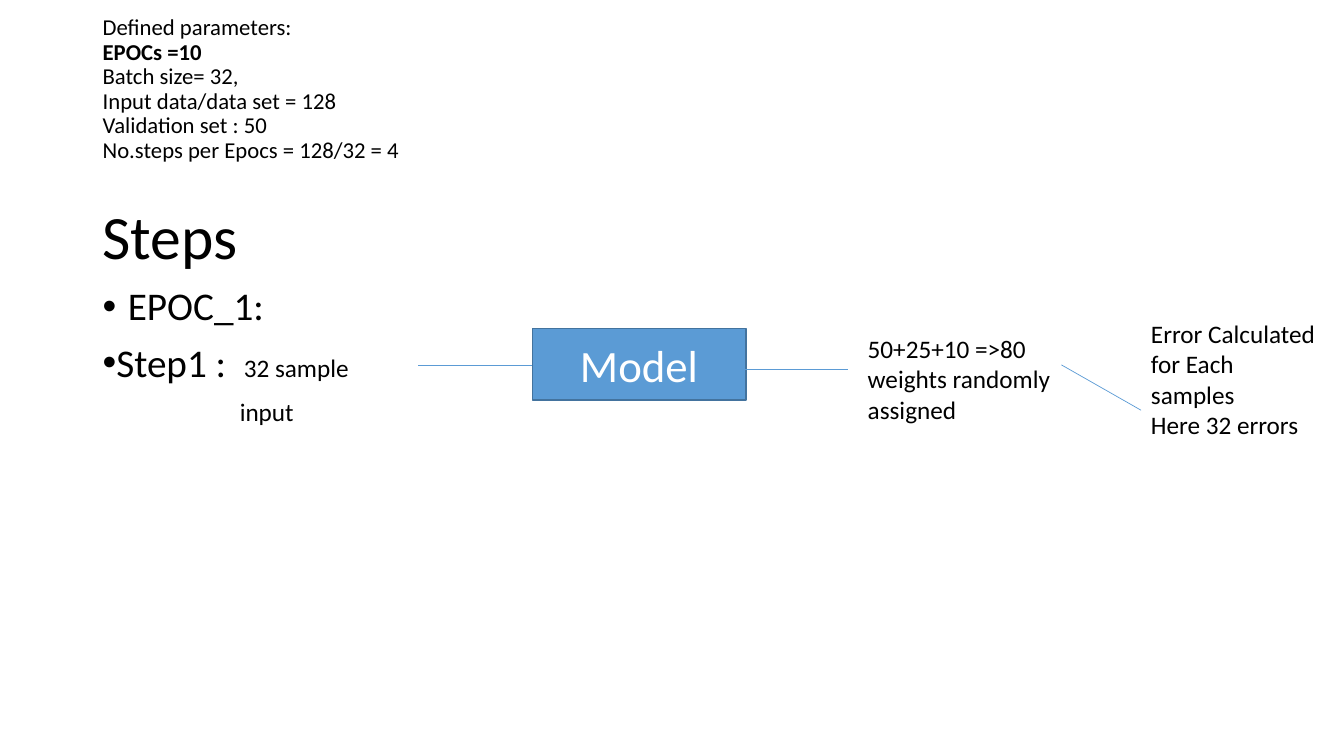
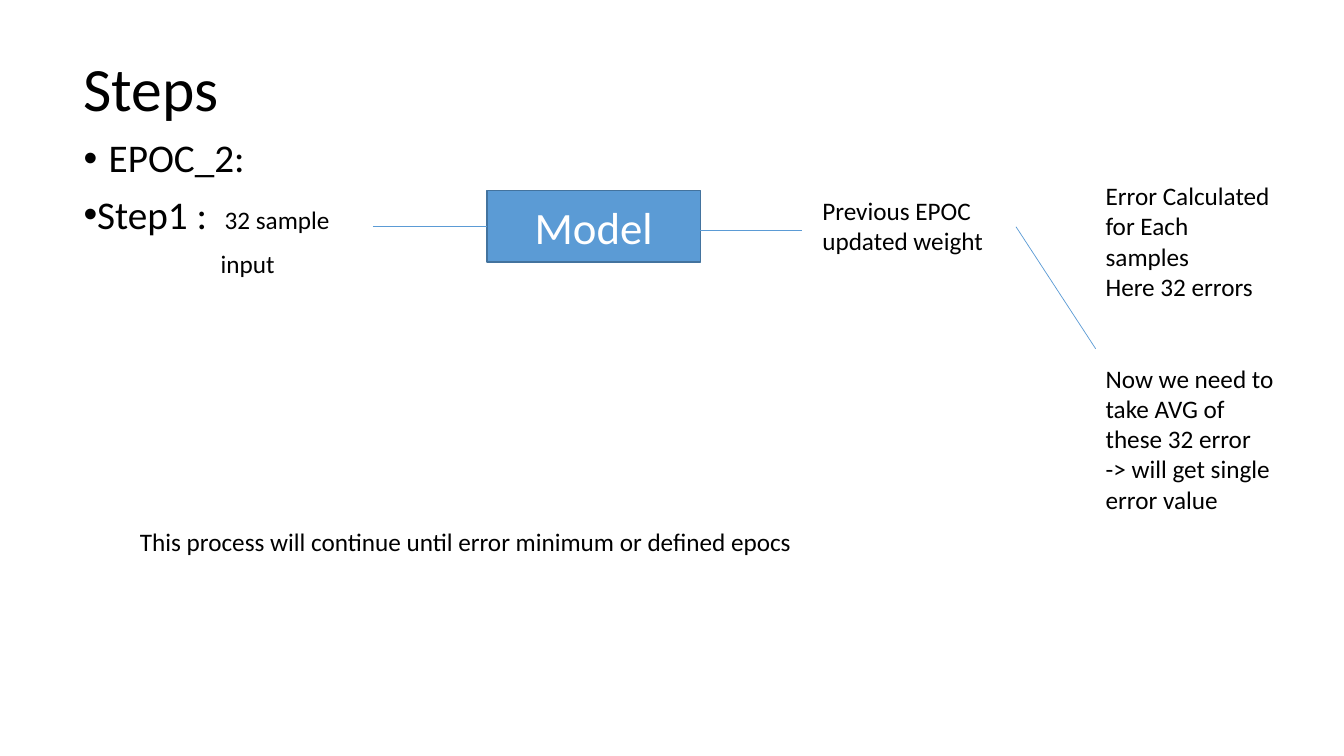
from lxml import etree
from pptx import Presentation
from pptx.dml.color import RGBColor
from pptx.enum.shapes import MSO_CONNECTOR, MSO_SHAPE
from pptx.enum.text import MSO_ANCHOR, PP_ALIGN
from pptx.oxml.ns import qn
from pptx.util import Inches, Pt

RECTANGLE = MSO_SHAPE.RECTANGLE
STRAIGHT = MSO_CONNECTOR.STRAIGHT
MIDDLE = MSO_ANCHOR.MIDDLE
CENTER = PP_ALIGN.CENTER

BLACK = RGBColor(0x00, 0x00, 0x00)
WHITE = RGBColor(0xFF, 0xFF, 0xFF)
BLUE = RGBColor(0x5B, 0x9B, 0xD5)
DARK_BLUE = RGBColor(0x43, 0x73, 0x9E)
FONT = "Calibri"

# Grid of 40 columns by 30 rows
SLIDE_WIDTH, SLIDE_HEIGHT = Inches(13.33), Inches(7.5)
COLUMN, ROW = SLIDE_WIDTH / 40, SLIDE_HEIGHT / 30
BLANK_LAYOUT = 6

BULLET_INDENT = Inches(0.25)
SAMPLE_TAB = Inches(1.4)
INPUT_INDENT = Inches(1.36)


def place(left, top):
    return round(left * COLUMN), round(top * ROW)


def style(para, size, color=BLACK, bold=False):
    font = para.font
    font.name, font.size, font.bold = FONT, Pt(size), bold
    font.color.rgb = color


def add_para(frame, text, size, bold=False):
    """Fill the empty first paragraph, or append a new one."""
    para = frame.paragraphs[0]
    if para.runs:
        para = frame.add_paragraph()
    para.add_run().text = text
    style(para, size, bold=bold)
    return para


def add_frame(page, left, top, width, height):
    box = page.shapes.add_textbox(*place(left, top), *place(width, height))
    box.text_frame.word_wrap = True
    return box.text_frame


def add_text(page, area, lines, size=18):
    frame = add_frame(page, *area)
    return [add_para(frame, line, size) for line in lines]


def add_line(page, start, end):
    line = page.shapes.add_connector(STRAIGHT, *place(*start), *place(*end))
    line.line.color.rgb = BLUE
    line.line.width = Pt(0.5)
    etree.SubElement(line._element.spPr, qn("a:effectLst"))


def set_indent(para, margin, first_line=0, bullet=False, tab=None):
    properties = para._p.get_or_add_pPr()
    properties.set("marL", str(margin))
    properties.set("indent", str(first_line))
    if bullet:
        etree.SubElement(properties, qn("a:buFont"), typeface="Arial")
        etree.SubElement(properties, qn("a:buChar"), char="\u2022")
    if tab:
        stops = etree.SubElement(properties, qn("a:tabLst"))
        etree.SubElement(stops, qn("a:tab"), pos=str(tab), algn="l")
    # The schema wants the default run properties last
    default_run = properties.find(qn("a:defRPr"))
    if default_run is not None:
        properties.append(default_run)


def add_parameters(page):
    frame = add_frame(page, 2.76, 0.44, 34.5, 7.16)
    for text in ("Defined parameters:", "EPOCs =10", "Batch size= 32,",
                 "Input data/data set = 128", "Validation set : 50",
                 "No.steps per Epocs = 128/32 = 4"):
        para = add_para(frame, text, 16.2, bold=text.startswith("EPOCs"))
        para.line_spacing = 0.9


def add_steps(page, left, top, epoch):
    frame = add_frame(page, left, top, 36.84, 19.04)
    add_para(frame, "Steps", 44)
    heading = add_para(frame, f"EPOC_{epoch}:", 28)
    step = add_para(frame, "Step1 :", 28)
    sample = step.add_run()
    sample.text = "\t32 sample"
    sample.font.size = Pt(18)
    sample_input = add_para(frame, "input", 18)
    for para in frame.paragraphs:
        para.line_spacing = 0.9
        para.space_before = Pt(10)
    set_indent(heading, BULLET_INDENT, -BULLET_INDENT, bullet=True)
    set_indent(step, 0, -BULLET_INDENT, bullet=True, tab=SAMPLE_TAB)
    set_indent(sample_input, INPUT_INDENT)


def add_model(page, left, top):
    model = page.shapes.add_shape(RECTANGLE, *place(left, top), *place(6.36, 2.84))
    model.shadow.inherit = False
    model.fill.solid()
    model.fill.fore_color.rgb = BLUE
    model.line.color.rgb = DARK_BLUE
    model.line.width = Pt(1)
    frame = model.text_frame
    frame.vertical_anchor = MIDDLE
    para = frame.paragraphs[0]
    para.text = "Model"
    para.alignment = CENTER
    style(para, 32, WHITE)


def add_flow(page, left, top, weights, error_drop, average=()):
    """Input line, model, weights and errors, all set off from the model's corner."""
    add_model(page, left, top)
    wire = top + 1.44
    add_line(page, (left - 3.39, wire), (left, wire))
    add_line(page, (left + 6.03, top + 1.6), (left + 9.39, top + 1.6))
    add_text(page, (left + 9.69, top, 6.03, 4.04), [weights])
    errors = ["Error Calculated for Each samples", "Here 32 errors"]
    paras = add_text(page, (left + 18.12, top - 0.6, 5.64, 7.68),
                     [*errors, *average])
    if average:
        paras[len(errors)].space_before = Pt(44)
    add_line(page, (left + 15.75, wire), (left + 18.12, top + error_drop))


def main():
    deck = Presentation()
    deck.slide_width, deck.slide_height = SLIDE_WIDTH, SLIDE_HEIGHT
    layout = deck.slide_layouts[BLANK_LAYOUT]

    # First epoch
    page = deck.slides.add_slide(layout)
    add_parameters(page)
    add_steps(page, 2.76, 8, epoch=1)
    add_flow(page, 15.84, 13.04, "50+25+10 =>80 weights randomly assigned", 3.24)

    # Second epoch
    page = deck.slides.add_slide(layout)
    add_steps(page, 2.19, 2.12, epoch=2)
    add_flow(page, 14.49, 7.56, "Previous EPOC updated weight", 6.28,
             ["Now we need to take AVG of these 32 error",
              "-> will get single error value"])
    add_text(page, (3.87, 20.68, 31.05, 1.6),
             ["This process will continue until error minimum or defined epocs"])

    deck.save("out.pptx")


main()
